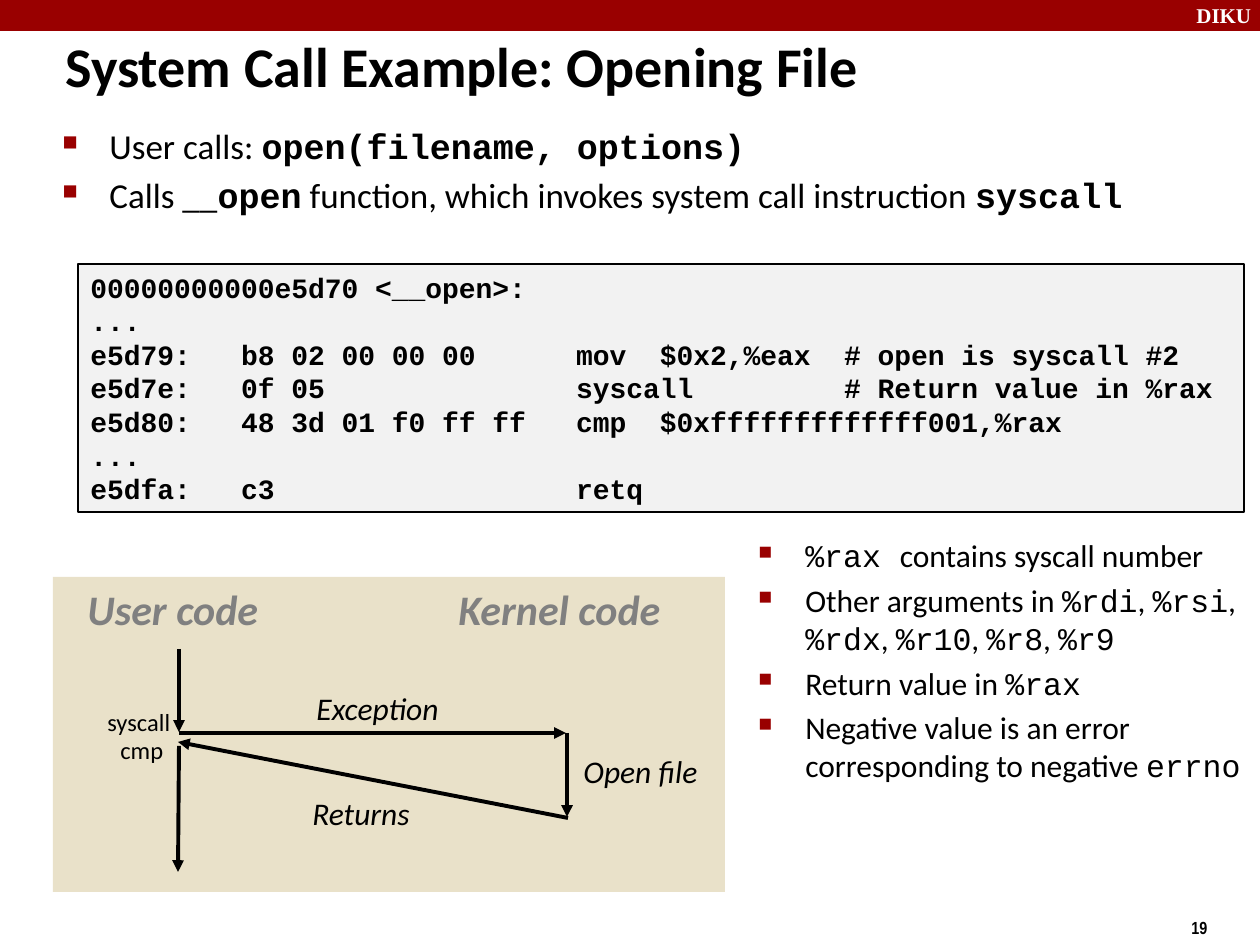
from lxml import etree
from pptx import Presentation
from pptx.dml.color import RGBColor
from pptx.enum.shapes import MSO_CONNECTOR, MSO_SHAPE
from pptx.enum.text import MSO_ANCHOR, PP_ALIGN
from pptx.oxml.ns import qn
from pptx.util import Emu, Pt

RECTANGLE = MSO_SHAPE.RECTANGLE
STRAIGHT = MSO_CONNECTOR.STRAIGHT
TOP, MIDDLE = MSO_ANCHOR.TOP, MSO_ANCHOR.MIDDLE
LEFT = PP_ALIGN.LEFT

BLACK = RGBColor(0x00, 0x00, 0x00)
WHITE = RGBColor(0xFF, 0xFF, 0xFF)
RED = RGBColor(0x99, 0x00, 0x00)
GRAY = RGBColor(0x80, 0x80, 0x80)
CODE_FILL = RGBColor(0xF2, 0xF2, 0xF2)
SAND = RGBColor(0xE9, 0xE1, 0xC9)

SANS, MONO = "Calibri", "Courier New"
SCALE = 914400 / 126  # EMU per px
BULLET_INDENT = 47

# Content: a paragraph is a string or a list of (text, font, bold) runs
TITLE = "System Call Example: Opening File"
CALL_STEPS = [
    [("User calls: ", SANS, False), ("open(filename, options)", MONO, True)],
    [("Calls __", SANS, False), ("open", MONO, True),
     (" function, which invokes system call instruction ", SANS, False),
     ("syscall", MONO, True)],
]
DISASSEMBLY = [
    "00000000000e5d70 <__open>:",
    "...",
    "e5d79:   b8 02 00 00 00      mov  $0x2,%eax  # open is syscall #2",
    "e5d7e:   0f 05               syscall         # Return value in %rax",
    "e5d80:   48 3d 01 f0 ff ff   cmp  $0xfffffffffffff001,%rax",
    "...",
    "e5dfa:   c3                  retq",
]
ARGUMENT_REGISTERS = ["%rdi", "%rsi", "%rdx", "%r10", "%r8", "%r9"]
argument_runs = [("Other arguments in ", SANS, False)]
for position, register in enumerate(ARGUMENT_REGISTERS):
    if position:
        argument_runs.append((", ", SANS, False))
    argument_runs.append((register, MONO, False))
CONVENTIONS = [
    [("%rax ", MONO, False), ("contains syscall number", SANS, False)],
    argument_runs,
    [("Return value in ", SANS, False), ("%rax", MONO, False)],
    [("Negative value is an error corresponding to negative ", SANS, False),
     ("errno", MONO, False)],
]

# Diagram: (text, box) labels by style, and (from, to) arrows
HEADINGS = [("User code", (75, 577, 210, 63)), ("Kernel code", (446, 577, 240, 63))]
FLOW_LABELS = [
    ("Exception", (304, 683, 160, 51)),
    ("Open file", (571, 746, 168, 51)),
    ("Returns", (300, 788, 140, 51)),
]
INSTRUCTIONS = [("syscall", (95, 701, 100, 41)), ("cmp", (108, 729, 80, 41))]
ARROWS = [
    ((179, 649), (179, 732)),
    ((179, 733), (566, 733)),
    ((567, 733), (567, 817)),
    ((568, 818), (178, 742)),
    ((179, 746), (178, 872)),
]


def px(length):
    return Emu(round(length * SCALE))


def add_bullet(paragraph):
    properties = paragraph._p.get_or_add_pPr()
    properties.set("marL", str(px(BULLET_INDENT)))
    properties.set("indent", str(-px(BULLET_INDENT)))
    color = etree.SubElement(properties, qn("a:buClr"))
    etree.SubElement(color, qn("a:srgbClr")).set("val", str(RED))
    etree.SubElement(properties, qn("a:buSzPct")).set("val", "60000")
    etree.SubElement(properties, qn("a:buChar")).set("char", "■")


def write_text(shape, paragraphs, size=18, font=SANS, color=BLACK, bold=False,
               italic=False, bullets=False, wrap=True, anchor=TOP):
    frame = shape.text_frame
    frame.word_wrap = wrap
    frame.vertical_anchor = anchor
    for index, content in enumerate(paragraphs):
        paragraph = frame.add_paragraph() if index else frame.paragraphs[0]
        paragraph.alignment = LEFT
        if bullets:
            add_bullet(paragraph)
            if index:
                paragraph.space_before = Pt(4)
        runs = [(content, font, bold)] if isinstance(content, str) else content
        for run_text, run_font, run_bold in runs:
            run = paragraph.add_run()
            run.text = run_text
            run.font.name = run_font
            run.font.size = Pt(size)
            run.font.bold = run_bold
            run.font.italic = italic
            run.font.color.rgb = color


def add_text(slide, box, paragraphs, **text_format):
    shape = slide.shapes.add_textbox(*map(px, box))
    write_text(shape, paragraphs, **text_format)


def add_rectangle(slide, box, fill, line=None):
    shape = slide.shapes.add_shape(RECTANGLE, *map(px, box))
    shape.shadow.inherit = False
    shape.fill.solid()
    shape.fill.fore_color.rgb = fill
    if line is None:
        shape.line.fill.background()
    else:
        shape.line.color.rgb = line
        shape.line.width = Pt(1)
    return shape


def add_arrow(slide, start, end):
    connector = slide.shapes.add_connector(STRAIGHT, *map(px, start + end))
    connector.line.color.rgb = BLACK
    connector.line.width = Pt(2.25)
    line = connector.line._get_or_add_ln()
    etree.SubElement(line, qn("a:tailEnd")).set("type", "triangle")
    etree.SubElement(connector._element.spPr, qn("a:effectLst"))


def main():
    presentation = Presentation()
    presentation.slide_width, presentation.slide_height = px(1260), px(945)
    slide = presentation.slides.add_slide(presentation.slide_layouts[6])

    # Top band and page number
    add_rectangle(slide, (0, 0, 1260, 31), RED)
    add_text(slide, (1184, -4, 84, 38), ["DIKU"], size=12, font="Times New Roman",
             color=WHITE, bold=True)
    add_text(slide, (1179, 911, 94, 34), ["19"], size=10, font="Arial Narrow",
             bold=True)

    # Title and opening bullets
    add_text(slide, (53, 26, 1186, 79), [TITLE], size=32, bold=True, anchor=MIDDLE)
    add_text(slide, (50, 118, 1158, 144), CALL_STEPS, size=20, bullets=True)

    # Disassembly
    listing = add_rectangle(slide, (78, 264, 1166, 248), CODE_FILL, line=BLACK)
    write_text(listing, DISASSEMBLY, size=16, font=MONO, bold=True)

    # Control flow diagram
    add_rectangle(slide, (53, 577, 672, 315), SAND)
    for label, box in HEADINGS:
        add_text(slide, box, [label], size=24, color=GRAY, bold=True, italic=True)
    for start, end in ARROWS:
        add_arrow(slide, start, end)
    for label, box in FLOW_LABELS:
        add_text(slide, box, [label], italic=True)
    for label, box in INSTRUCTIONS:
        add_text(slide, box, [label], size=14)

    # Calling conventions
    add_text(slide, (746, 530, 517, 350), CONVENTIONS, bullets=True)

    presentation.save("out.pptx")


if __name__ == "__main__":
    main()
